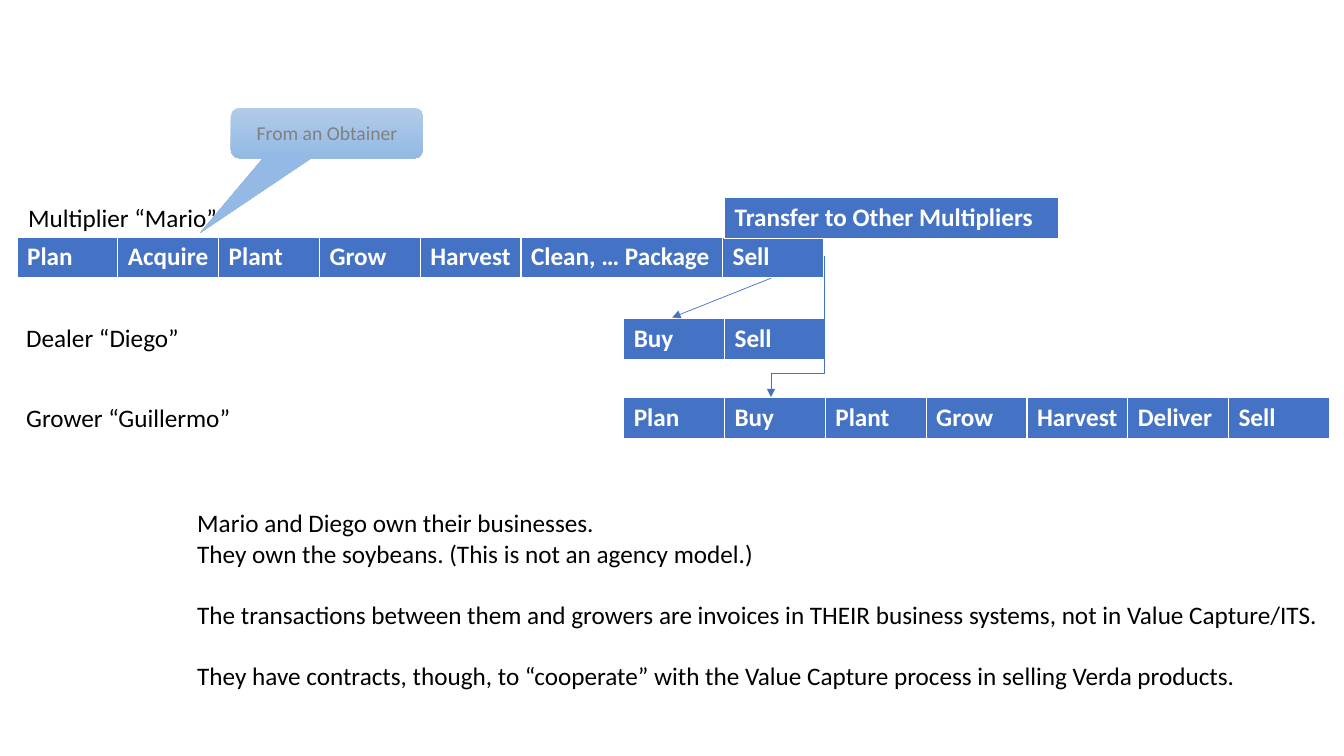
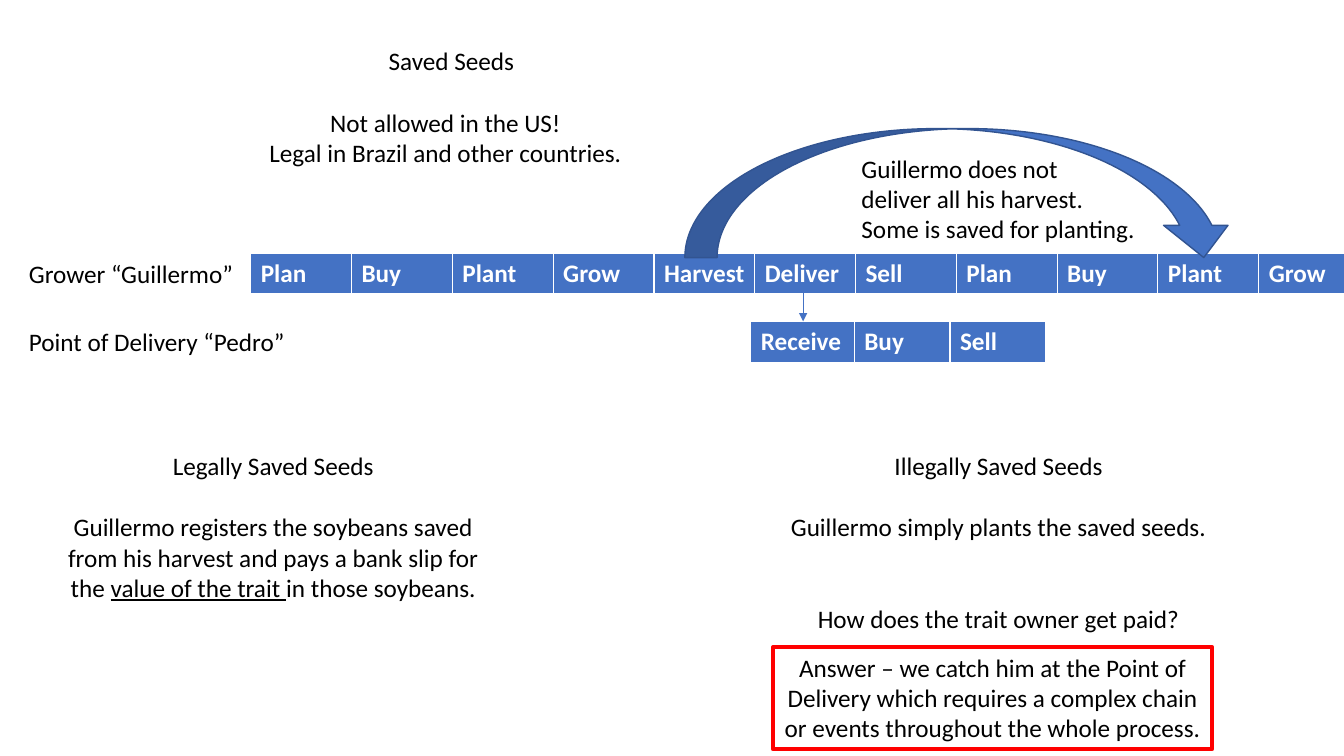
from dataclasses import dataclass

from lxml.etree import SubElement
from pptx import Presentation
from pptx.dml.color import RGBColor
from pptx.enum.shapes import MSO_CONNECTOR as Connector, MSO_SHAPE as Shape
from pptx.enum.text import MSO_ANCHOR as Anchor, MSO_AUTO_SIZE as AutoSize, PP_ALIGN as Align
from pptx.oxml.ns import qn
from pptx.util import Cm, Pt

COLORS = {
    "blue": "4472C4",
    "dark_blue": "325491",
    "callout_top": "B1CBE9",
    "callout_bottom": "93B9E4",
    "gray": "808080",
    "red": "FF0000",
    "white": "FFFFFF",
    "black": "000000",
}
BODY = {"name": "Calibri", "size": Pt(18), "bold": False}
STEP_FONT = BODY | {"bold": True}
CALLOUT_FONT = BODY | {"size": Pt(14)}
STEP = 2.54
ROW_HEIGHT = 1.03
LABEL_HEIGHT = 1.02
LINE = 22
GROWER_STEPS = ["Plan", "Buy", "Plant", "Grow", "Harvest", "Deliver", "Sell"]


@dataclass
class Line:
    text: str
    gap: int = 0
    underlined: str = ""
    rest: str = ""


def color(name):
    return RGBColor.from_string(COLORS[name])


def apply(target, values):
    for name, value in values.items():
        setattr(target, name, value)


def cm(*lengths):
    return [Cm(length) for length in lengths]


def write(frame, lines, align=Align.LEFT, font=BODY, ink="black"):
    apply(frame, {"word_wrap": True, "auto_size": AutoSize.NONE})
    for index, line in enumerate(lines):
        paragraph = frame.add_paragraph() if index else frame.paragraphs[0]
        apply(paragraph, {"alignment": align, "space_before": Pt(line.gap * LINE)})
        for text, underline in ((line.text, False), (line.underlined, True), (line.rest, False)):
            if text:
                run = paragraph.add_run()
                run.text = text
                apply(run.font, font | {"underline": underline})
                run.font.color.rgb = color(ink)


def add_text(slide, box, lines, align=Align.LEFT):
    shape = slide.shapes.add_textbox(*cm(*box))
    write(shape.text_frame, lines, align)
    return shape


def add_label(slide, left, top, text, width=6.43):
    add_text(slide, (left, top, width, LABEL_HEIGHT), [Line(text)])


def add_steps(slide, left, top, steps, widths=None):
    widths = widths or [STEP] * len(steps)
    frame = slide.shapes.add_table(1, len(steps), *cm(left, top, sum(widths), ROW_HEIGHT))
    for index, (step, width) in enumerate(zip(steps, widths)):
        frame.table.columns[index].width = Cm(width)
        cell = frame.table.cell(0, index)
        cell.fill.solid()
        cell.fill.fore_color.rgb = color("blue")
        run = cell.text_frame.paragraphs[0].add_run()
        run.text = step
        apply(run.font, STEP_FONT)
        run.font.color.rgb = color("white")


def add_arrow(slide, begin, end, kind=Connector.STRAIGHT):
    connector = slide.shapes.add_connector(kind, *cm(*begin, *end))
    connector.line.color.rgb = color("blue")
    connector.line.width = Pt(0.5)
    SubElement(connector.line._get_or_add_ln(), qn("a:tailEnd"), type="triangle")
    SubElement(connector._element.spPr, qn("a:effectLst"))
    return connector


def add_down_elbow(slide, begin, end, bend):
    center_x, center_y = ((first + last) / 2 for first, last in zip(begin, end))
    half_run = (end[1] - begin[1]) / 2
    half_rise = (begin[0] - end[0]) / 2
    connector = add_arrow(
        slide,
        (center_x - half_run, center_y - half_rise),
        (center_x + half_run, center_y + half_rise),
        Connector.ELBOW,
    )
    properties = connector._element.spPr
    properties.find(qn("a:xfrm")).set("rot", "5400000")
    geometry = properties.find(qn("a:prstGeom"))
    adjustments = geometry.find(qn("a:avLst"))
    if adjustments is None:
        adjustments = SubElement(geometry, qn("a:avLst"))
    SubElement(adjustments, qn("a:gd"), name="adj1", fmla=f"val {round(bend * 100000)}")


def add_callout(slide, box, text):
    shape = slide.shapes.add_shape(Shape.ROUNDED_RECTANGULAR_CALLOUT, *cm(*box))
    shape.shadow.inherit = False
    for index, value in enumerate((-0.66, 1.98, 0.17)):
        shape.adjustments[index] = value
    shape.fill.gradient()
    shape.fill.gradient_angle = 270
    for stop, name in zip(shape.fill.gradient_stops, ("callout_top", "callout_bottom")):
        stop.color.rgb = color(name)
    shape.line.fill.background()
    write(shape.text_frame, [Line(text)], Align.CENTER, CALLOUT_FONT, "gray")
    shape.text_frame.vertical_anchor = Anchor.MIDDLE


def add_return_arrow(slide, box):
    shape = slide.shapes.add_shape(Shape.CURVED_LEFT_ARROW, *cm(*box))
    shape.shadow.inherit = False
    shape.rotation = 270
    shape.fill.solid()
    shape.fill.fore_color.rgb = color("blue")
    shape.line.color.rgb = color("dark_blue")
    shape.line.width = Pt(1)


def set_title(slide, box, text):
    title = slide.shapes.title
    apply(title, dict(zip(("left", "top", "width", "height"), cm(*box))))
    write(title.text_frame, [Line(text)], Align.CENTER)
    title.text_frame.vertical_anchor = Anchor.TOP


def build_sales_chain(presentation):
    slide = presentation.slides.add_slide(presentation.slide_layouts[6])
    chain_left = 15.72
    add_label(slide, 0.41, 10.01, "Grower “Guillermo”")
    add_steps(slide, chain_left, 10.01, GROWER_STEPS)
    add_label(slide, 0.41, 8, "Dealer “Diego”")
    add_steps(slide, chain_left, 8.03, ["Buy", "Sell"])
    add_label(slide, 0.46, 4.98, "Multiplier “Mario”")
    add_steps(
        slide, 0.43, 5.97,
        ["Plan", "Acquire", "Plant", "Grow", "Harvest", "Clean, … Package", "Sell"],
        [STEP] * 5 + [2 * STEP, STEP],
    )
    add_arrow(slide, (19.43, 7.01), (16.94, 8))
    add_down_elbow(slide, (20.78, 6.45), (19.43, 10.01), 0.83)
    add_steps(slide, 18.26, 4.98, ["Transfer to Other Multipliers"], [8.41])
    add_text(slide, (4.72, 12.67, 29.16, 4.88), [
        Line("Mario and Diego own their businesses."),
        Line("They own the soybeans. (This is not an agency model.)"),
        Line("The transactions between them and growers are invoices in THEIR business systems, "
             "not in Value Capture/ITS.", 1),
        Line("They have contracts, though, to “cooperate” with the Value Capture process "
             "in selling Verda products.", 1),
    ])
    add_callout(slide, (5.82, 2.72, 4.85, 1.27), "From an Obtainer")


def build_saved_seeds(presentation):
    slide = presentation.slides.add_slide(presentation.slide_layouts[5])
    text_width = 11.07
    set_title(slide, (5.84, 1.02, text_width, LABEL_HEIGHT), "Saved Seeds")
    add_text(slide, (5.69, 2.57, text_width, 1.8), [
        Line("Not allowed in the US!"),
        Line("Legal in Brazil and other countries."),
    ], Align.CENTER)
    season_left, season_top = 6.32, 6.38
    add_steps(slide, season_left, season_top, GROWER_STEPS)
    add_label(slide, 0.48, season_top, "Grower “Guillermo”")
    add_label(slide, 0.48, 8.1, "Point of Delivery “Pedro”", 8.18)
    add_steps(slide, 18.92, 8.1, ["Receive", "Buy", "Sell"], [2.61, 2.41, 2.41])
    add_steps(slide, season_left + len(GROWER_STEPS) * STEP, season_top, GROWER_STEPS[:4])
    add_return_arrow(slide, (22.58, -2.08, 3.25, 13.89))
    add_text(slide, (1.35, 11.23, text_width, 4.11), [
        Line("Legally Saved Seeds"),
        Line("Guillermo registers the soybeans saved from his harvest and pays a bank slip for the ",
             1, "value of the trait ", "in those soybeans."),
    ], Align.CENTER)
    add_text(slide, (19.63, 11.23, text_width, 4.9), [
        Line("Illegally Saved Seeds"),
        Line("Guillermo simply plants the saved seeds.", 1),
        Line("How does the trait owner get paid?", 2),
    ], Align.CENTER)
    answer = add_text(slide, (19.48, 16.31, text_width, 2.57), [
        Line("Answer – we catch him at the Point of Delivery which requires a complex chain "
             "or events throughout the whole process."),
    ], Align.CENTER)
    answer.line.color.rgb = color("red")
    answer.line.width = Pt(3)
    add_arrow(slide, (20.24, 7.39), (20.24, 8.1))
    add_text(slide, (21.46, 3.73, 7.47, 2.57), [
        Line("Guillermo does not"),
        Line("deliver all his harvest."),
        Line("Some is saved for planting."),
    ])


def main():
    presentation = Presentation()
    apply(presentation, {"slide_width": Cm(33.87), "slide_height": Cm(19.05)})
    build_sales_chain(presentation)
    build_saved_seeds(presentation)
    presentation.save("out.pptx")


if __name__ == "__main__":
    main()
